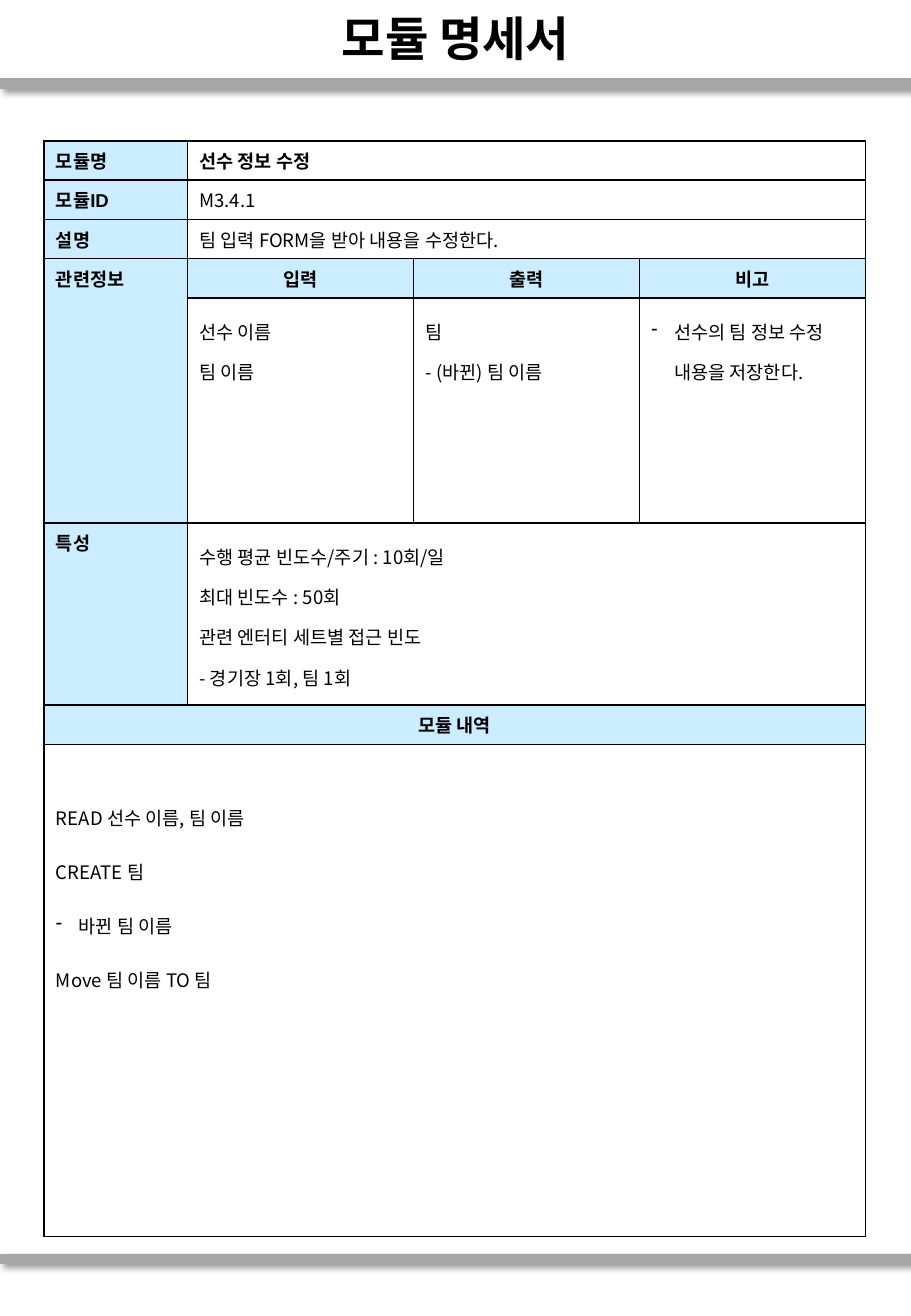
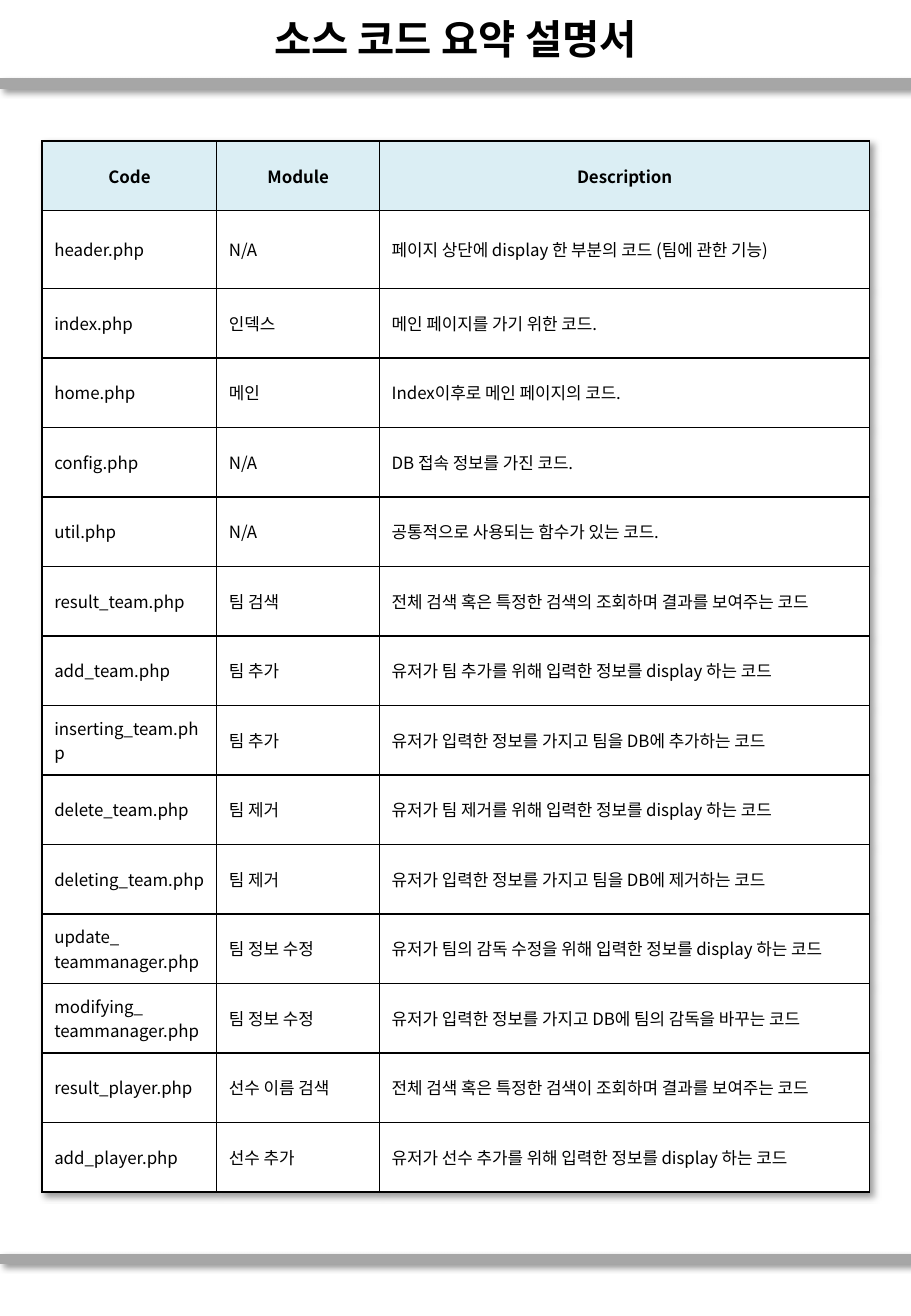
from lxml import etree
from pptx import Presentation
from pptx.dml.color import RGBColor
from pptx.enum.shapes import MSO_CONNECTOR as Connector
from pptx.enum.text import MSO_ANCHOR as Anchor, PP_ALIGN as Align
from pptx.oxml import parse_xml
from pptx.oxml.ns import nsdecls, qn
from pptx.util import Pt

WIDTH, HEIGHT = 540, 780
NOTO, ARIAL = "Noto Sans CJK KR", "Arial"
BLACK, WHITE, GRAY = "000000", "FFFFFF", "A6A6A6"
LABEL_BLUE, HEADER_BLUE = "CCECFF", "DBEEF4"
RULE_YS = (49.5, 746)
TABLE_TOP = 83.6
BULLET_INDENT = 13.5

# Module specification: row, column, row span, column span, lines
MODULE_TITLE = "모듈 명세서"
MODULE_COLUMNS = [85, 134, 134, 134]
MODULE_ROWS = [23.1, 23.1, 23.1, 23.5, 133.3, 108, 23.1, 291.6]
LABELS = [
    (0, 0, 1, 1, "모듈명"),
    (1, 0, 1, 1, "모듈ID"),
    (2, 0, 1, 1, "설명"),
    (3, 0, 2, 1, "관련정보"),
    (5, 0, 1, 1, "특성"),
]
CENTERED_LABELS = [
    (3, 1, 1, 1, "입력"),
    (3, 2, 1, 1, "출력"),
    (3, 3, 1, 1, "비고"),
    (6, 0, 1, 4, "모듈 내역"),
]
# Last item: line spacing; a line given as a 1-tuple has a dash bullet
VALUES = [
    (0, 1, 1, 3, ["선수 정보 수정"], 1),
    (1, 1, 1, 3, ["M3.4.1"], 1),
    (2, 1, 1, 3, ["팀 입력 FORM을 받아 내용을 수정한다."], 1),
    (4, 1, 1, 1, ["선수 이름", "팀 이름"], 1.5),
    (4, 2, 1, 1, ["팀", "- (바뀐) 팀 이름"], 1.5),
    (4, 3, 1, 1, [("선수의 팀 정보 수정 내용을 저장한다.",)], 1.5),
    (5, 1, 1, 3, ["수행 평균 빈도수/주기 : 10회/일", "최대 빈도수 : 50회",
                  "관련 엔터티 세트별 접근 빈도", "- 경기장 1회, 팀 1회"], 1.5),
    (7, 0, 1, 4, ["READ 선수 이름, 팀 이름", "CREATE 팀",
                  ("바뀐 팀 이름",), "Move 팀 이름 TO 팀"], 2),
]
DETAIL_TOP_MARGIN = 19.5

# Source code summary
CODE_TITLE = "소스 코드 요약 설명서"
CODE_COLUMNS = [103.5, 96.5, 290.5]
CODE_ROW, FIRST_CODE_ROW = 41.2, 46.2
CODE_HEADER = ("Code", "Module", "Description")
CODE_FILES = [
    ("header.php", "N/A", "페이지 상단에 display 한 부분의 코드 (팀에 관한 기능)"),
    ("index.php", "인덱스", "메인 페이지를 가기 위한 코드."),
    ("home.php", "메인", "Index이후로 메인 페이지의 코드."),
    ("config.php", "N/A", "DB 접속 정보를 가진 코드."),
    ("util.php", "N/A", "공통적으로 사용되는 함수가 있는 코드."),
    ("result_team.php", "팀 검색", "전체 검색 혹은 특정한 검색의 조회하며 결과를 보여주는 코드"),
    ("add_team.php", "팀 추가", "유저가 팀 추가를 위해 입력한 정보를 display 하는 코드"),
    ("inserting_team.php", "팀 추가", "유저가 입력한 정보를 가지고 팀을 DB에 추가하는 코드"),
    ("delete_team.php", "팀 제거", "유저가 팀 제거를 위해 입력한 정보를 display 하는 코드"),
    ("deleting_team.php", "팀 제거", "유저가 입력한 정보를 가지고 팀을 DB에 제거하는 코드"),
    ("update_\nteammanager.php", "팀 정보 수정",
     "유저가 팀의 감독 수정을 위해 입력한 정보를 display 하는 코드"),
    ("modifying_\nteammanager.php", "팀 정보 수정",
     "유저가 입력한 정보를 가지고 DB에 팀의 감독을 바꾸는 코드"),
    ("result_player.php", "선수 이름 검색",
     "전체 검색 혹은 특정한 검색이 조회하며 결과를 보여주는 코드"),
    ("add_player.php", "선수 추가", "유저가 선수 추가를 위해 입력한 정보를 display 하는 코드"),
]


def color(value):
    return RGBColor.from_string(value)


def shadow_effect():
    return parse_xml(
        f'<a:effectLst {nsdecls("a")}><a:outerShdw blurRad="{Pt(4)}" dist="{Pt(3)}" '
        f'dir="2700000" algn="tl" rotWithShape="0"><a:srgbClr val="{BLACK}">'
        '<a:alpha val="40000"/></a:srgbClr></a:outerShdw></a:effectLst>')


def add_text(paragraph, text, size, font=NOTO, bold=False, align=Align.LEFT):
    paragraph.alignment = align
    for index, line in enumerate(text.split("\n")):
        if index:
            paragraph.add_line_break()
        run = paragraph.add_run()
        run.text = line
        run.font.size = Pt(size)
        run.font.name = font
        run.font.bold = bold
        run.font.color.rgb = color(BLACK)
        east_asian = etree.SubElement(run.font._element, qn("a:ea"))
        east_asian.set("typeface", NOTO)


def add_dash(paragraph):
    properties = paragraph._p.get_or_add_pPr()
    properties.set("marL", str(Pt(BULLET_INDENT)))
    properties.set("indent", str(-Pt(BULLET_INDENT)))
    etree.SubElement(properties, qn("a:buChar")).set("char", "-")


def style_cell(cell, fill):
    cell.fill.solid()
    cell.fill.fore_color.rgb = color(fill)
    properties = cell._tc.get_or_add_tcPr()
    for index, side in enumerate(("lnL", "lnR", "lnT", "lnB")):
        properties.insert(index, parse_xml(
            f'<a:{side} {nsdecls("a")} w="{Pt(1)}"><a:solidFill>'
            f'<a:srgbClr val="{BLACK}"/></a:solidFill></a:{side}>'))


def add_grid(slide, left, columns, rows):
    frame = slide.shapes.add_table(len(rows), len(columns), Pt(left), Pt(TABLE_TOP),
                                   Pt(sum(columns)), Pt(sum(rows)))
    table = frame.table
    table.first_row = table.horz_banding = False
    for column, width in zip(table.columns, columns):
        column.width = Pt(width)
    for row, height in zip(table.rows, rows):
        row.height = Pt(height)
    return table


def merged_cell(table, row, column, row_span, column_span, fill):
    last_row, last_column = row + row_span - 1, column + column_span - 1
    for r in range(row, last_row + 1):
        for c in range(column, last_column + 1):
            style_cell(table.cell(r, c), fill)
    cell = table.cell(row, column)
    if row_span * column_span > 1:
        cell.merge(table.cell(last_row, last_column))
    return cell


def prepare_layout(layout):
    title = layout.placeholders[0]
    title.left, title.top, title.width, title.height = Pt(0), Pt(1), Pt(WIDTH), Pt(43)
    title.text_frame.vertical_anchor = Anchor.MIDDLE


def add_layout_rules(slide):
    for y in RULE_YS:
        rule = slide.shapes.add_connector(Connector.STRAIGHT, Pt(0), Pt(y), Pt(WIDTH), Pt(y))
        rule.line.color.rgb = color(GRAY)
        rule.line.width = Pt(6)
        rule.element.spPr.append(shadow_effect())
        # The layout holds the rules for every slide
        slide.slide_layout.shapes.element.append(rule.element)


def add_slide(presentation, layout, title, size, font):
    slide = presentation.slides.add_slide(layout)
    add_text(slide.shapes.title.text_frame.paragraphs[0], title, size, font, True, Align.CENTER)
    return slide


def build_module_table(slide):
    table = add_grid(slide, 26, MODULE_COLUMNS, MODULE_ROWS)
    for labels, align in ((LABELS, Align.LEFT), (CENTERED_LABELS, Align.CENTER)):
        for *place, text in labels:
            cell = merged_cell(table, *place, LABEL_BLUE)
            add_text(cell.text_frame.paragraphs[0], text, 11, ARIAL, True, align)
    for *place, lines, spacing in VALUES:
        cell = merged_cell(table, *place, WHITE)
        frame = cell.text_frame
        for index, line in enumerate(lines):
            paragraph = frame.add_paragraph() if index else frame.paragraphs[0]
            paragraph.line_spacing = spacing
            bulleted = isinstance(line, tuple)
            if bulleted:
                add_dash(paragraph)
            add_text(paragraph, line[0] if bulleted else line, 11, bold=place[0] == 0)
    table.cell(7, 0).margin_top = Pt(DETAIL_TOP_MARGIN)


def build_code_table(slide):
    rows = [CODE_ROW, FIRST_CODE_ROW] + [CODE_ROW] * (len(CODE_FILES) - 1)
    table = add_grid(slide, 25, CODE_COLUMNS, rows)
    table._tbl.tblPr.insert(0, shadow_effect())
    for row, texts in enumerate([CODE_HEADER] + CODE_FILES):
        header = row == 0
        for column, text in enumerate(texts):
            cell = table.cell(row, column)
            style_cell(cell, HEADER_BLUE if header else WHITE)
            cell.vertical_anchor = Anchor.MIDDLE
            add_text(cell.text_frame.paragraphs[0], text, 10, bold=header,
                     align=Align.CENTER if header else Align.LEFT)


def main():
    presentation = Presentation()
    presentation.slide_width, presentation.slide_height = Pt(WIDTH), Pt(HEIGHT)
    layout = presentation.slide_layouts.get_by_name("Title Only")
    prepare_layout(layout)
    module_slide = add_slide(presentation, layout, MODULE_TITLE, 28, NOTO)
    add_layout_rules(module_slide)
    build_module_table(module_slide)
    build_code_table(add_slide(presentation, layout, CODE_TITLE, 24, ARIAL))
    presentation.save("out.pptx")


if __name__ == "__main__":
    main()
